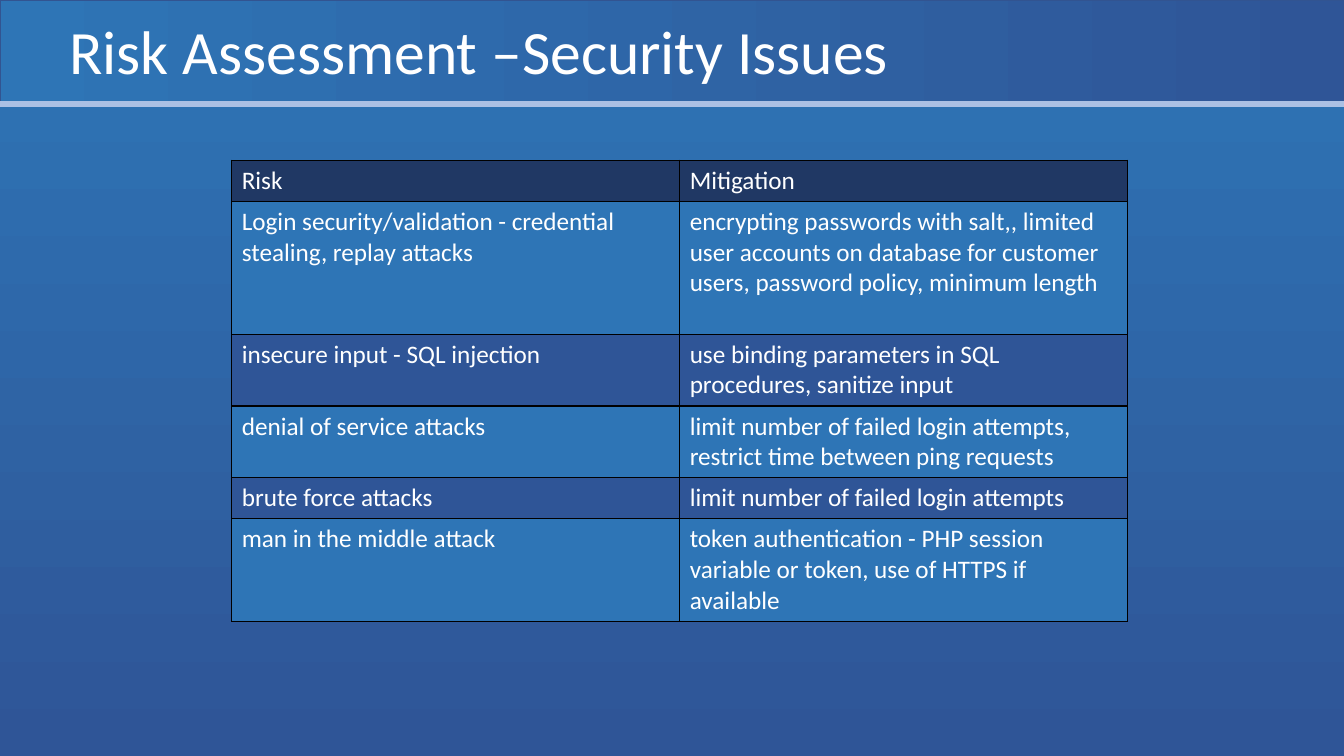
"""Builds a risk assessment slide with a table of security issues."""
import lxml.etree
import pptx
import pptx.dml.color
import pptx.enum.shapes
import pptx.enum.text
import pptx.oxml
import pptx.oxml.ns
import pptx.util

Cm = pptx.util.Cm
Pt = pptx.util.Pt
qn = pptx.oxml.ns.qn

COLORS = {
    "sky": "2E75B6",
    "indigo": "2F5597",
    "navy": "203864",
    "header line": "325491",
    "rule": "ABC0E4",
    "text": "FFFFFF",
    "border": "000000",
}
SLIDE_WIDTH, SLIDE_HEIGHT = 33.87, 19.05
HEADER_HEIGHT = 2.62
RISKS = [
    ("Risk", "Mitigation", 1.03),
    ("Login security/validation - credential stealing, replay attacks",
     "encrypting passwords with salt,, limited user accounts on database for "
     "customer users, password policy, minimum length", 3.35),
    ("insecure input - SQL injection",
     "use binding parameters in SQL procedures, sanitize input", 1.81),
    ("denial of service attacks",
     "limit number of failed login attempts, restrict time between ping requests", 1.81),
    ("brute force attacks", "limit number of failed login attempts", 1.03),
    ("man in the middle attack",
     "token authentication - PHP session variable or token, use of HTTPS if available", 2.59),
]


class SlideStyle:
    def __init__(self, slide, font="Calibri"):
        self.slide = slide
        self.font = font

    def color(self, name):
        return pptx.dml.color.RGBColor.from_string(COLORS[name])

    def gradient(self, fill, angle):
        fill.gradient()
        fill.gradient_angle = angle
        for stop, name in zip(fill.gradient_stops, ("sky", "indigo")):
            stop.color.rgb = self.color(name)

    def background(self):
        self.gradient(self.slide.background.fill, 270)

    def band(self, left, top, width, height):
        band = self.slide.shapes.add_shape(
            pptx.enum.shapes.MSO_SHAPE.RECTANGLE, Cm(left), Cm(top), Cm(width), Cm(height))
        band.shadow.inherit = False
        self.gradient(band.fill, 0)
        band.line.color.rgb = self.color("header line")
        band.line.width = Pt(1)

    def rule(self, left, top, width):
        rule = self.slide.shapes.add_connector(
            pptx.enum.shapes.MSO_CONNECTOR.STRAIGHT,
            Cm(left), Cm(top), Cm(left + width), Cm(top))
        rule.line.color.rgb = self.color("rule")
        rule.line.width = Pt(4)
        lxml.etree.SubElement(rule._element.spPr, qn("a:effectLst"))

    def set_text(self, paragraph, text, size):
        paragraph.text = text
        paragraph.font.name = self.font
        paragraph.font.size = Pt(size)
        paragraph.font.bold = False
        paragraph.font.color.rgb = self.color("text")

    def title(self, text, left, top, width, height):
        frame = self.slide.shapes.add_textbox(
            Cm(left), Cm(top), Cm(width), Cm(height)).text_frame
        frame.word_wrap = True
        frame.vertical_anchor = pptx.enum.text.MSO_ANCHOR.MIDDLE
        heading = frame.paragraphs[0]
        self.set_text(heading, text, 44)
        heading.line_spacing = 0.9

    def borders(self, cell):
        properties = cell._tc.get_or_add_tcPr()
        for position, side in enumerate(("a:lnL", "a:lnR", "a:lnT", "a:lnB")):
            edge = lxml.etree.Element(qn(side), w=str(Pt(1)))
            solid = lxml.etree.SubElement(edge, qn("a:solidFill"))
            lxml.etree.SubElement(solid, qn("a:srgbClr"), val=COLORS["border"])
            properties.insert(position, edge)

    def table(self, rows, left, top, width):
        height = sum(row[-1] for row in rows)
        grid = self.slide.shapes.add_table(
            len(rows), 2, Cm(left), Cm(top), Cm(width), Cm(height)).table
        for index, (risk, mitigation, row_height) in enumerate(rows):
            grid.rows[index].height = Cm(row_height)
            shade = "navy" if index == 0 else ("indigo", "sky")[index % 2]
            for cell, text in zip(grid.rows[index].cells, (risk, mitigation)):
                cell.fill.solid()
                cell.fill.fore_color.rgb = self.color(shade)
                self.borders(cell)
                self.set_text(cell.text_frame.paragraphs[0], text, 18)


deck = pptx.Presentation()
deck.slide_width, deck.slide_height = Cm(SLIDE_WIDTH), Cm(SLIDE_HEIGHT)
page = SlideStyle(deck.slides.add_slide(deck.slide_layouts[6]))
page.background()
page.band(0, 0, SLIDE_WIDTH, HEADER_HEIGHT)
page.rule(0, HEADER_HEIGHT, SLIDE_WIDTH)
page.title("Risk Assessment \u2013Security Issues", 1.5, -0.46, 29.21, 3.68)
page.table(RISKS, 5.84, 4.04, 22.58)
deck.save("out.pptx")
